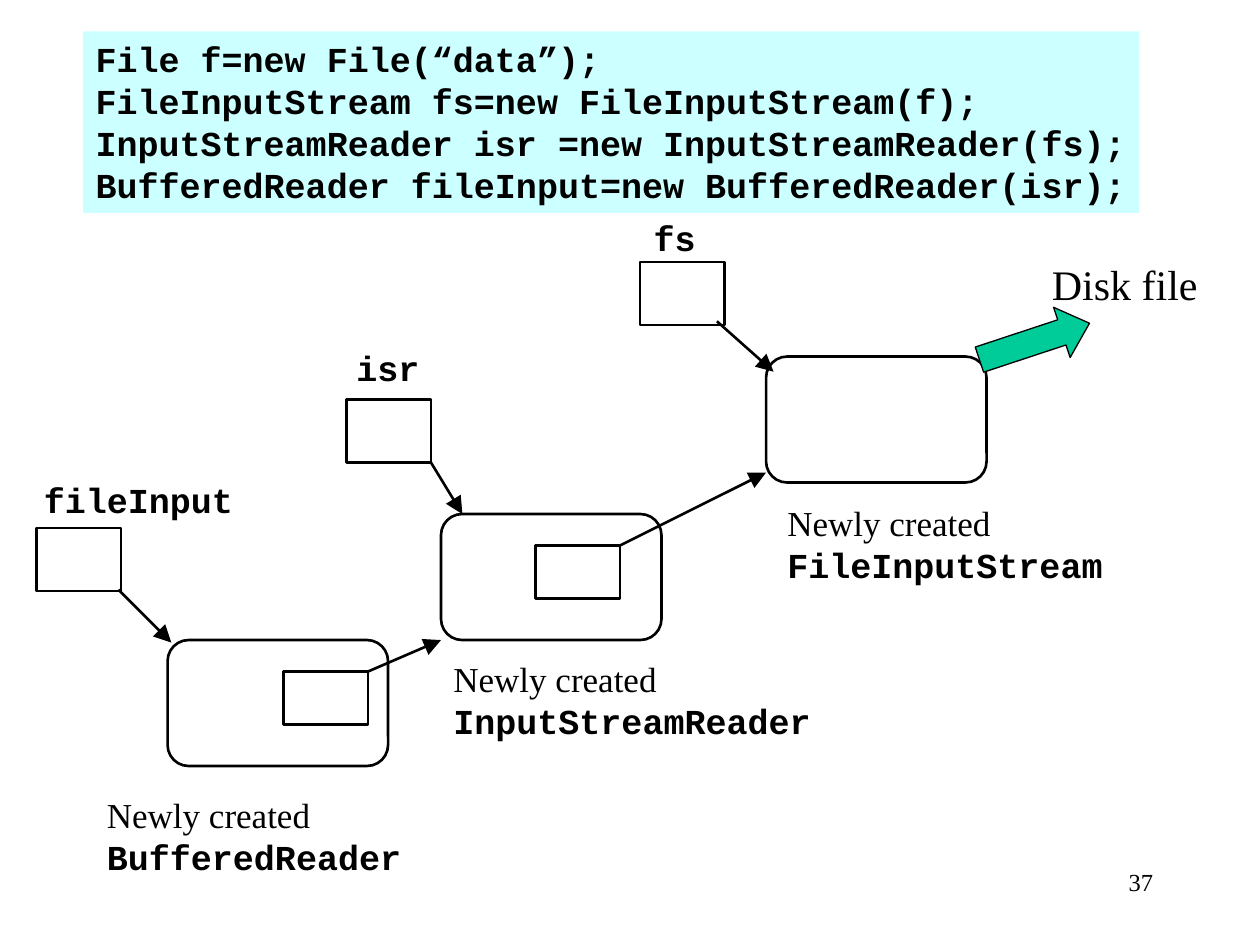
from dataclasses import dataclass

from lxml import etree
from pptx import Presentation
from pptx.dml.color import RGBColor
from pptx.enum import shapes, text
from pptx.oxml import ns
from pptx.util import Inches, Pt


@dataclass(frozen=True)
class Theme:
    ink: RGBColor = RGBColor(0x00, 0x00, 0x00)
    panel: RGBColor = RGBColor(0xCC, 0xFF, 0xFF)
    accent: RGBColor = RGBColor(0x00, 0xCC, 0x99)
    code: str = "Courier New"
    serif: str = "Times New Roman"
    body: int = 20
    large: int = 24
    small: int = 14
    thick: float = 1.5
    thin: float = 0.75


@dataclass(frozen=True)
class Box:
    x: float
    y: float
    w: float
    h: float


@dataclass(frozen=True)
class Line:
    words: str
    font: str
    size: int = Theme.body


@dataclass(frozen=True)
class Stage:
    """A stream object, its caption and the variable that refers to it."""
    kind: str
    object: tuple[float, float]
    note: Box
    name: str
    label: Box
    cell: tuple[float, float]
    arrow: tuple[float, float, float, float]


@dataclass(frozen=True)
class Field:
    """A reference cell inside one object, pointing to the next object."""
    cell: tuple[float, float]
    target: tuple[float, float]


THEME = Theme()
OBJECT = (1.75, 1)
CELL = (0.67, 0.5)
INNER = (0.67, 0.42)

CODE = (
    "File f=new File(“data”);",
    "FileInputStream fs=new FileInputStream(f);",
    "InputStreamReader isr =new InputStreamReader(fs);",
    "BufferedReader fileInput=new BufferedReader(isr);",
)
STAGES = (
    Stage("BufferedReader", (1.33, 5.08), Box(0.75, 6.25, 2.54, 0.77),
          "fileInput", Box(0.25, 3.75, 1.7, 0.44), (0.29, 4.19),
          (0.94, 4.68, 1.36, 5.1)),
    Stage("InputStreamReader", (3.5, 4.08), Box(3.5, 5.17, 3.04, 0.77),
          "isr", Box(2.73, 2.7, 0.7, 0.44), (2.75, 3.17),
          (3.42, 3.67, 3.67, 4.08)),
    Stage("FileInputStream", (6.08, 2.83), Box(6.15, 3.93, 2.7, 0.77),
          "fs", Box(5.09, 1.67, 0.53, 0.44), (5.08, 2.08),
          (5.69, 2.55, 6.14, 2.95)),
)
FIELDS = (
    Field((2.25, 5.33), (3.5, 5.08)),
    Field((4.25, 4.33), (6.08, 3.75)),
)


def place(box: Box) -> tuple:
    return Inches(box.x), Inches(box.y), Inches(box.w), Inches(box.h)


def shape(slide, kind, box: Box, fill=None, width: float = 0):
    form = slide.shapes.add_shape(kind, *place(box))
    form.shadow.inherit = False
    if fill is None:
        form.fill.background()
    else:
        form.fill.solid()
        form.fill.fore_color.rgb = fill
    if width:
        form.line.color.rgb = THEME.ink
        form.line.width = Pt(width)
    else:
        form.line.fill.background()
    return form


def write(form, lines: list[Line], align=text.PP_ALIGN.LEFT) -> None:
    frame = form.text_frame
    frame.word_wrap = True
    frame.vertical_anchor = text.MSO_ANCHOR.TOP
    # Left-aligned boxes fit their text closely, so they need no right margin
    if align == text.PP_ALIGN.LEFT:
        frame.margin_right = 0
    frame.text = "\n".join(line.words for line in lines)
    for para, line in zip(frame.paragraphs, lines):
        para.alignment = align
        para.line_spacing = Pt(line.size * 1.2)
        for run in para.runs:
            run.font.name = line.font
            run.font.size = Pt(line.size)
            run.font.bold = line.font == THEME.code
            run.font.color.rgb = THEME.ink


def label(slide, box: Box, *lines: Line, align=text.PP_ALIGN.LEFT) -> None:
    write(slide.shapes.add_textbox(*place(box)), list(lines), align)


def arrow(slide, x1: float, y1: float, x2: float, y2: float) -> None:
    link = slide.shapes.add_connector(
        shapes.MSO_CONNECTOR.STRAIGHT,
        Inches(x1), Inches(y1), Inches(x2), Inches(y2))
    link.line.color.rgb = THEME.ink
    link.line.width = Pt(THEME.thick)
    tip = etree.SubElement(link.line._get_or_add_ln(), ns.qn("a:tailEnd"))
    for key, value in (("type", "triangle"), ("w", "lg"), ("len", "lg")):
        tip.set(key, value)
    etree.SubElement(link._element.spPr, ns.qn("a:effectLst"))


def stage(slide, item: Stage) -> None:
    body = shape(slide, shapes.MSO_SHAPE.ROUNDED_RECTANGLE,
                 Box(*item.object, *OBJECT), width=THEME.thick)
    body.adjustments[0] = 0.167
    shape(slide, shapes.MSO_SHAPE.RECTANGLE, Box(*item.cell, *CELL),
          width=THEME.thick)
    arrow(slide, *item.arrow)
    label(slide, item.label, Line(item.name, THEME.code))
    label(slide, item.note, Line("Newly created", THEME.serif),
          Line(item.kind, THEME.code))


def field(slide, item: Field) -> None:
    shape(slide, shapes.MSO_SHAPE.RECTANGLE, Box(*item.cell, *INNER),
          width=THEME.thick)
    x, y = item.cell
    arrow(slide, x + INNER[0], y, *item.target)


def main() -> None:
    deck = Presentation()
    deck.slide_width, deck.slide_height = Inches(10), Inches(7.5)
    slide = deck.slides.add_slide(deck.slide_layouts[6])

    # Code panel
    panel = shape(slide, shapes.MSO_SHAPE.RECTANGLE,
                  Box(0.66, 0.25, 8.38, 1.44), THEME.panel)
    write(panel, [Line(row, THEME.code) for row in CODE])

    # Chain of streams
    for item in STAGES:
        stage(slide, item)
    for item in FIELDS:
        field(slide, item)

    # Disk file
    disk = shape(slide, shapes.MSO_SHAPE.RIGHT_ARROW,
                 Box(7.75, 2.5, 0.92, 0.42), THEME.accent, THEME.thin)
    disk.adjustments[1] = 0.55
    disk.rotation = 341.7
    label(slide, Box(8.25, 2, 1.35, 0.5),
          Line("Disk file", THEME.serif, THEME.large))

    # Page number
    label(slide, Box(7.17, 6.83, 2.08, 0.5),
          Line("37", THEME.serif, THEME.small), align=text.PP_ALIGN.RIGHT)

    deck.save("out.pptx")


if __name__ == "__main__":
    main()
